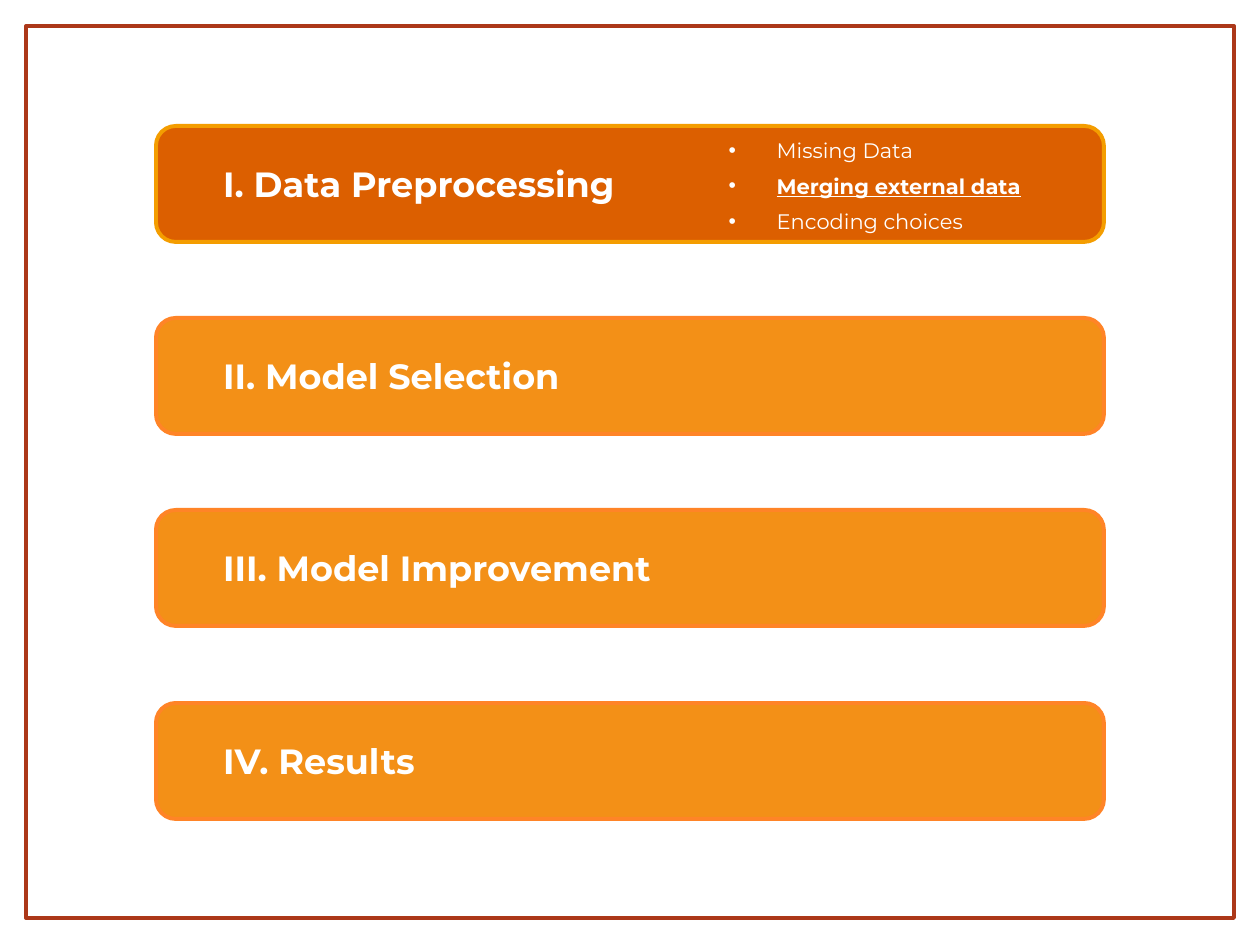
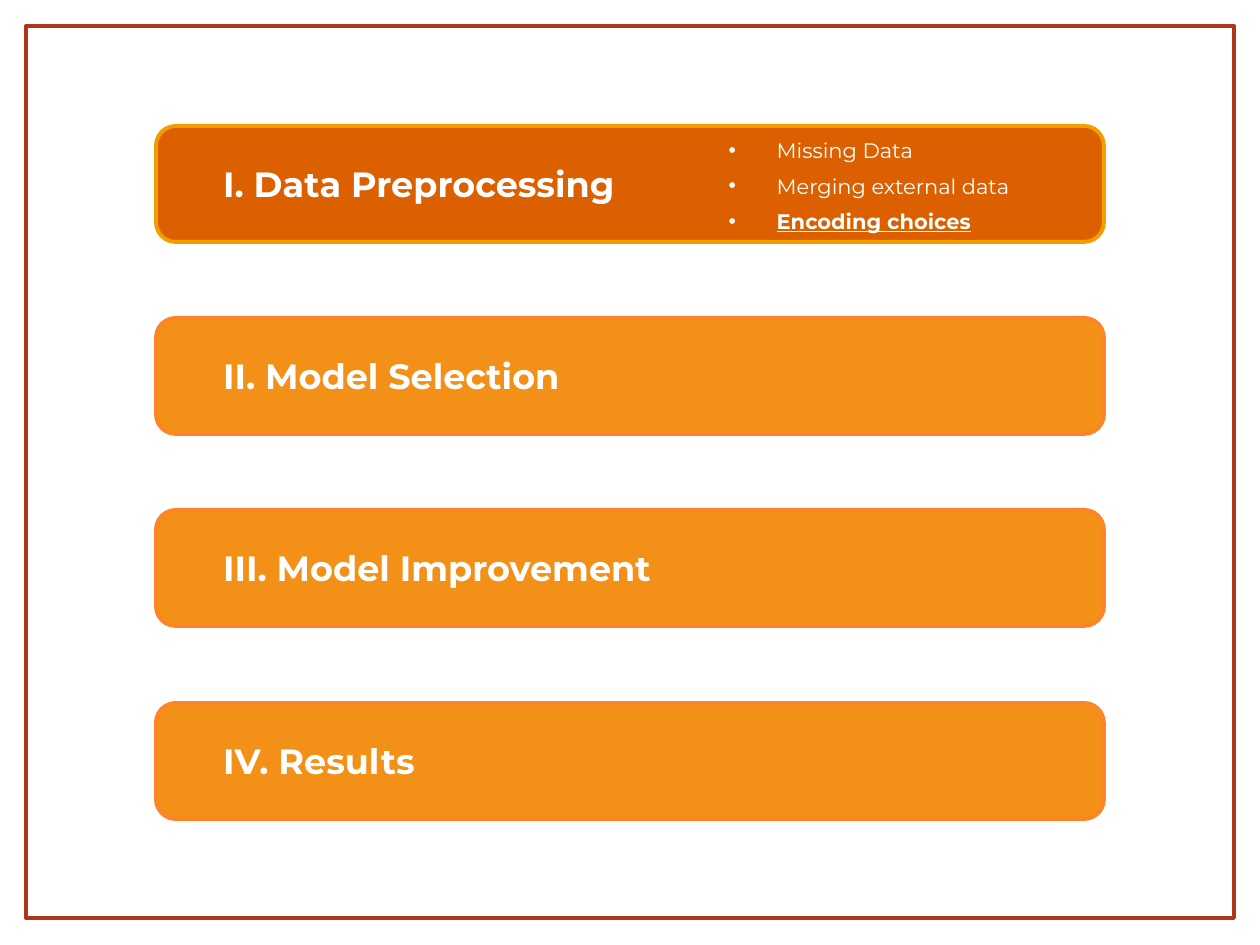
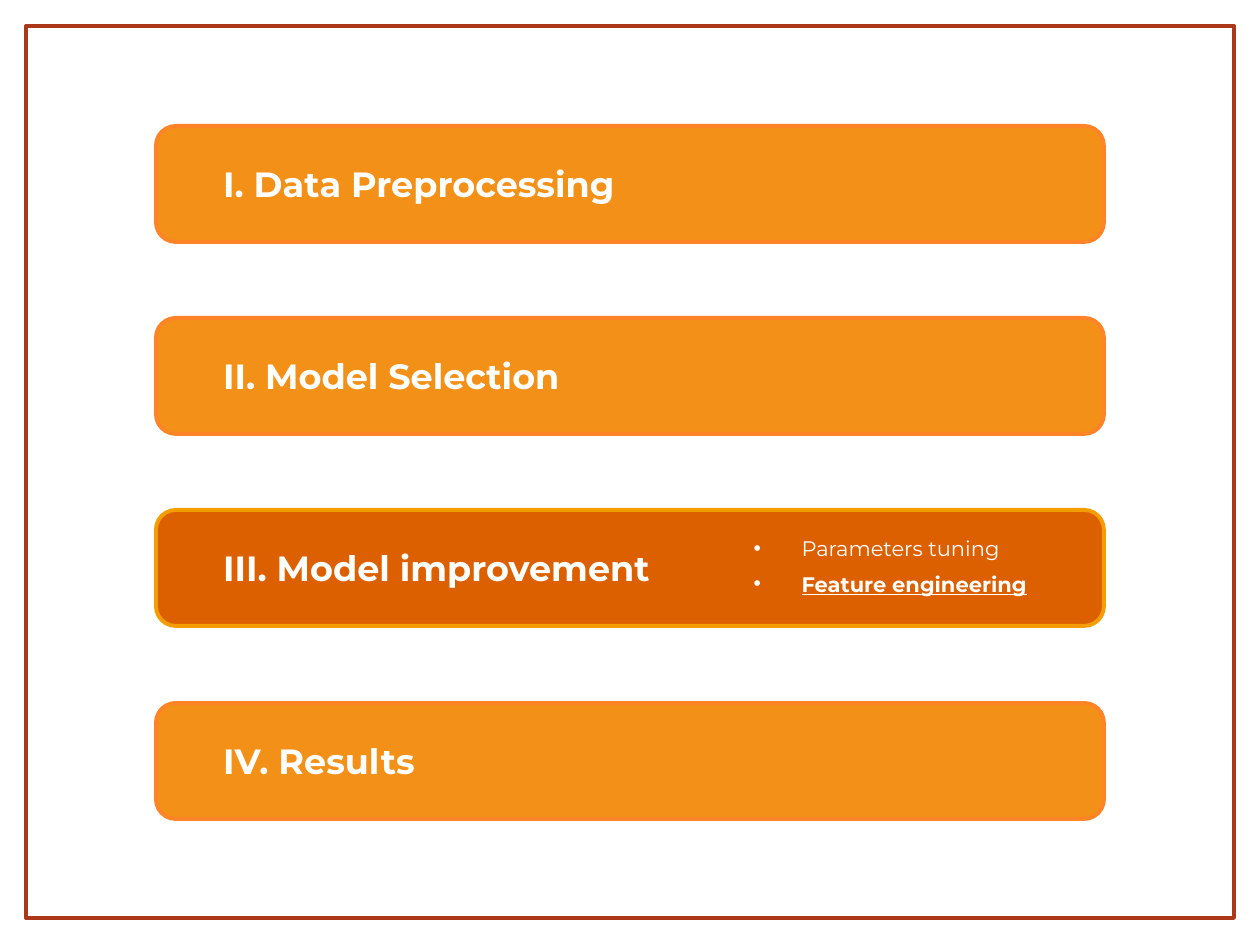
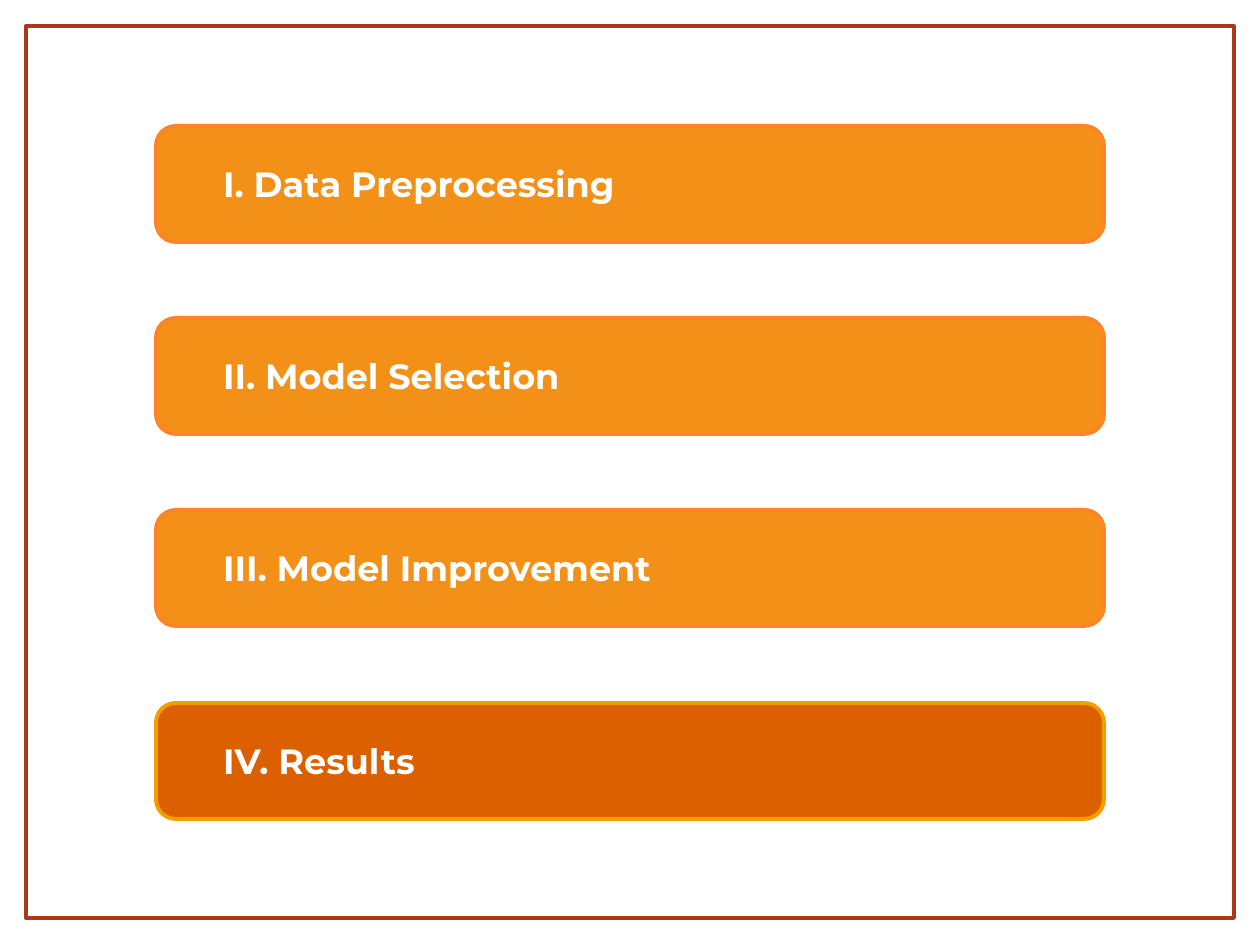
from pptx import Presentation
from pptx.dml.color import RGBColor
from pptx.enum.shapes import MSO_SHAPE
from pptx.enum.text import MSO_ANCHOR, MSO_AUTO_SIZE, PP_ALIGN
from pptx.util import Emu, Pt

FONT = "Montserrat"
WHITE = "FFFFFF"
FRAME = "AC3819"
ACTIVE = ("DC5F00", "F49D00")  # fill, line
IDLE = ("F39017", "FF8427")

SECTIONS = ["I. Data Preprocessing", "II. Model Selection",
            "III. Model Improvement", "IV. Results"]
PREPROCESSING = ["Missing Data", "Merging external data", "Encoding choices"]
IMPROVEMENT = ["Parameters tuning", "Feature engineering"]

# active section, its label, topics, current topic, box of the topic list
AGENDAS = [
    (0, "I. Data Preprocessing", PREPROCESSING, 1, (716, 131, 363, 111)),
    (0, "I. Data Preprocessing", PREPROCESSING, 2, (716, 131, 363, 111)),
    (2, "III. Model improvement", IMPROVEMENT, 1, (741, 529, 363, 74)),
    (3, "IV. Results", [], None, None),
]


def px(n):
    """Convert pixels, 126 to the inch, to EMU."""
    return Emu(round(n * 914400 / 126))


def rgb(code):
    return RGBColor.from_string(code)


prs = Presentation()
prs.slide_width, prs.slide_height = px(1260), px(945)

for active, label, topics, current, box in AGENDAS:
    s = prs.slides.add_slide(prs.slide_layouts[1 if topics else 6])

    frame = s.shapes.add_shape(MSO_SHAPE.RECTANGLE, px(26), px(26), px(1208), px(892))
    frame.shadow.inherit = False
    frame.fill.background()
    frame.line.color.rgb = rgb(FRAME)
    frame.line.width = Pt(2.25)

    for i, section in enumerate(SECTIONS):
        fill, line = ACTIVE if i == active else IDLE
        bar = s.shapes.add_shape(MSO_SHAPE.ROUNDED_RECTANGLE,
                                 px(156), px(126 + i * 577 // 3), px(948), px(116))
        bar.adjustments[0] = 0.17
        bar.shadow.inherit = False
        bar.fill.solid()
        bar.fill.fore_color.rgb = rgb(fill)
        bar.line.color.rgb = rgb(line)
        bar.line.width = Pt(2.25)

        tf = bar.text_frame
        tf.vertical_anchor = MSO_ANCHOR.MIDDLE
        tf.margin_left = tf.margin_right = tf.margin_top = tf.margin_bottom = Pt(7.2)
        tf.text = label if i == active else section
        p = tf.paragraphs[0]
        p.alignment = PP_ALIGN.LEFT
        p._p.get_or_add_pPr().set("marL", str(px(49)))
        font = p.runs[0].font
        font.name, font.size, font.bold = FONT, Pt(20), True
        font.color.rgb = rgb(WHITE)

    if not topics:
        continue

    title = s.shapes.title.element
    title.getparent().remove(title)
    body = s.placeholders[1]
    body.element.getparent().append(body.element)  # bring in front of the bars
    body.left, body.top, body.width, body.height = map(px, box)
    tf = body.text_frame
    tf.text = "\n".join(topics)
    tf.word_wrap = True
    tf.auto_size = MSO_AUTO_SIZE.SHAPE_TO_FIT_TEXT
    for i, p in enumerate(tf.paragraphs):
        p.space_before, p.space_after = Pt(0), Pt(6)
        pPr = p._p.get_or_add_pPr()
        pPr.set("marL", str(px(48)))
        pPr.set("indent", str(-px(48)))
        font = p.runs[0].font
        font.name, font.size = FONT, Pt(12)
        font.bold = font.underline = i == current
        font.color.rgb = rgb(WHITE)

prs.save("out.pptx")
